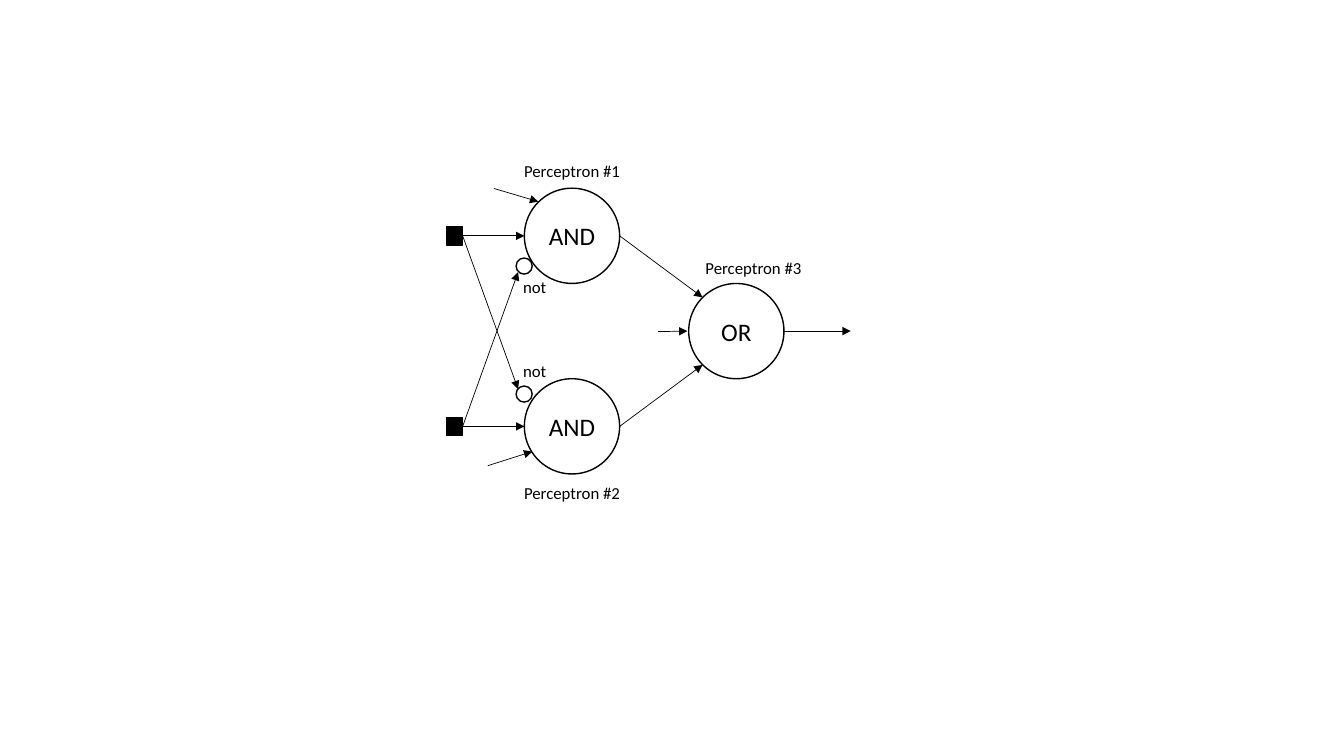
from dataclasses import dataclass
from typing import Optional

from lxml import etree
from pptx import Presentation
from pptx.dml.color import RGBColor
from pptx.enum.shapes import MSO_CONNECTOR, MSO_SHAPE
from pptx.enum.text import MSO_ANCHOR, MSO_AUTO_SIZE, PP_ALIGN
from pptx.oxml.ns import qn
from pptx.shapes.autoshape import Shape
from pptx.shapes.shapetree import GroupShapes
from pptx.text.text import TextFrame
from pptx.util import Inches, Pt

LINE = MSO_CONNECTOR.STRAIGHT
OVAL, RECT = MSO_SHAPE.OVAL, MSO_SHAPE.RECTANGLE
LEFT, CENTER = PP_ALIGN.LEFT, PP_ALIGN.CENTER
MIDDLE = MSO_ANCHOR.MIDDLE
GROW = MSO_AUTO_SIZE.SHAPE_TO_FIT_TEXT
RIGHT_SIDE = 3
CELL = Inches(0.1)
COLS, ROWS = 133.33, 75


@dataclass(frozen=True)
class Theme:
    font: str = "Calibri"
    ink: RGBColor = RGBColor(0, 0, 0)
    paper: RGBColor = RGBColor(255, 255, 255)
    node: float = 18
    label: float = 12
    edge: float = 1
    wire: float = 0.5


@dataclass(frozen=True)
class Dot:
    col: float
    row: float
    wide: float
    high: float
    kind: MSO_SHAPE = OVAL
    text: str = ""
    solid: bool = False


@dataclass(frozen=True)
class Label:
    col: float
    row: float
    wide: float
    text: str
    align: PP_ALIGN


@dataclass(frozen=True)
class Arrow:
    col: float
    row: float
    to_col: float
    to_row: float
    start: Optional[int] = None


THEME = Theme()
TOP, MID, LOW = 23.4, 32.85, 42.3
SIZE = 9.45
HIDE, OUT = 56.75, 73.05
HIDE_L, HIDE_R = HIDE - SIZE / 2, HIDE + SIZE / 2
OUT_R = OUT + SIZE / 2
PORT = 45.9
HIGH = 3

NODES = [
    Dot(HIDE, TOP, SIZE, SIZE, text="AND"),
    Dot(HIDE, LOW, SIZE, SIZE, text="AND"),
    Dot(OUT, MID, SIZE, SIZE, text="OR"),
]
INPUTS = [Dot(45.1, row, 1.6, 1.8, RECT, solid=True) for row in (TOP, LOW)]
NOTS = [Dot(52, row, 1.6, 1.6) for row in (26.4, 39.1)]
ARROWS = [
    Arrow(HIDE_R, TOP, 69.7, 29.5),
    Arrow(HIDE_R, LOW, 69.7, 36.2),
    Arrow(PORT, TOP, HIDE_L, TOP, 0),
    Arrow(PORT, LOW, HIDE_L, LOW, 1),
    Arrow(PORT, LOW, 51.4, 27, 1),
    Arrow(PORT, TOP, 51.4, 38.6, 0),
    Arrow(OUT_R, MID, 84.4, MID),
    Arrow(49, 18.7, 53.4, 20),
    Arrow(48.4, 46.2, 52.8, 44.8),
    Arrow(65.3, 32.9, 68.2, MID),
]
LABELS = [
    Label(50.9, 27, 6.1, "not", LEFT),
    Label(50.9, 35.3, 6.1, "not", LEFT),
    Label(50.7, 15.5, 12.1, "Perceptron #1", CENTER),
    Label(50.7, 47.4, 12.1, "Perceptron #2", CENTER),
    Label(68.7, 25.1, 12.1, "Perceptron #3", CENTER),
]


def grid(cells: float) -> int:
    return round(cells * CELL)


def write(frame: TextFrame, text: str, size: float, align: PP_ALIGN) -> None:
    para = frame.paragraphs[0]
    para.alignment = align
    run = para.add_run()
    run.text = text
    run.font.name = THEME.font
    run.font.size = Pt(size)
    run.font.color.rgb = THEME.ink


def draw_dot(shapes: GroupShapes, dot: Dot) -> Shape:
    left, top = dot.col - dot.wide / 2, dot.row - dot.high / 2
    shape = shapes.add_shape(
        dot.kind, grid(left), grid(top), grid(dot.wide), grid(dot.high)
    )
    shape.shadow.inherit = False
    if dot.solid:
        shape.fill.solid()
        shape.fill.fore_color.rgb = THEME.ink
    else:
        shape.fill.background()
    shape.line.color.rgb = THEME.ink
    shape.line.width = Pt(THEME.edge)
    if dot.text:
        frame = shape.text_frame
        frame.word_wrap = False
        frame.vertical_anchor = MIDDLE
        write(frame, dot.text, THEME.node, CENTER)
    return shape


def draw_arrow(shapes: GroupShapes, arrow: Arrow, ports: list[Shape]) -> None:
    wire = shapes.add_connector(
        LINE,
        grid(arrow.col),
        grid(arrow.row),
        grid(arrow.to_col),
        grid(arrow.to_row),
    )
    if arrow.start is not None:
        wire.begin_connect(ports[arrow.start], RIGHT_SIDE)
    wire.line.color.rgb = THEME.ink
    wire.line.width = Pt(THEME.wire)
    props = wire._element.spPr.find(qn("a:ln"))
    etree.SubElement(props, qn("a:tailEnd"), type="triangle")
    etree.SubElement(wire._element.spPr, qn("a:effectLst"))


def draw_label(shapes: GroupShapes, label: Label) -> None:
    box = shapes.add_textbox(
        grid(label.col), grid(label.row), grid(label.wide), grid(HIGH)
    )
    frame = box.text_frame
    frame.word_wrap = True
    frame.auto_size = GROW
    write(frame, label.text, THEME.label, label.align)


def main() -> None:
    deck = Presentation()
    deck.slide_width, deck.slide_height = grid(COLS), grid(ROWS)
    slide = deck.slides.add_slide(deck.slide_layouts[6])
    slide.background.fill.solid()
    slide.background.fill.fore_color.rgb = THEME.paper
    shapes = slide.shapes.add_group_shape().shapes
    for dot in NODES + NOTS:
        draw_dot(shapes, dot)
    ports = [draw_dot(shapes, dot) for dot in INPUTS]
    for arrow in ARROWS:
        draw_arrow(shapes, arrow, ports)
    for label in LABELS:
        draw_label(shapes, label)
    deck.save("out.pptx")


if __name__ == "__main__":
    main()
